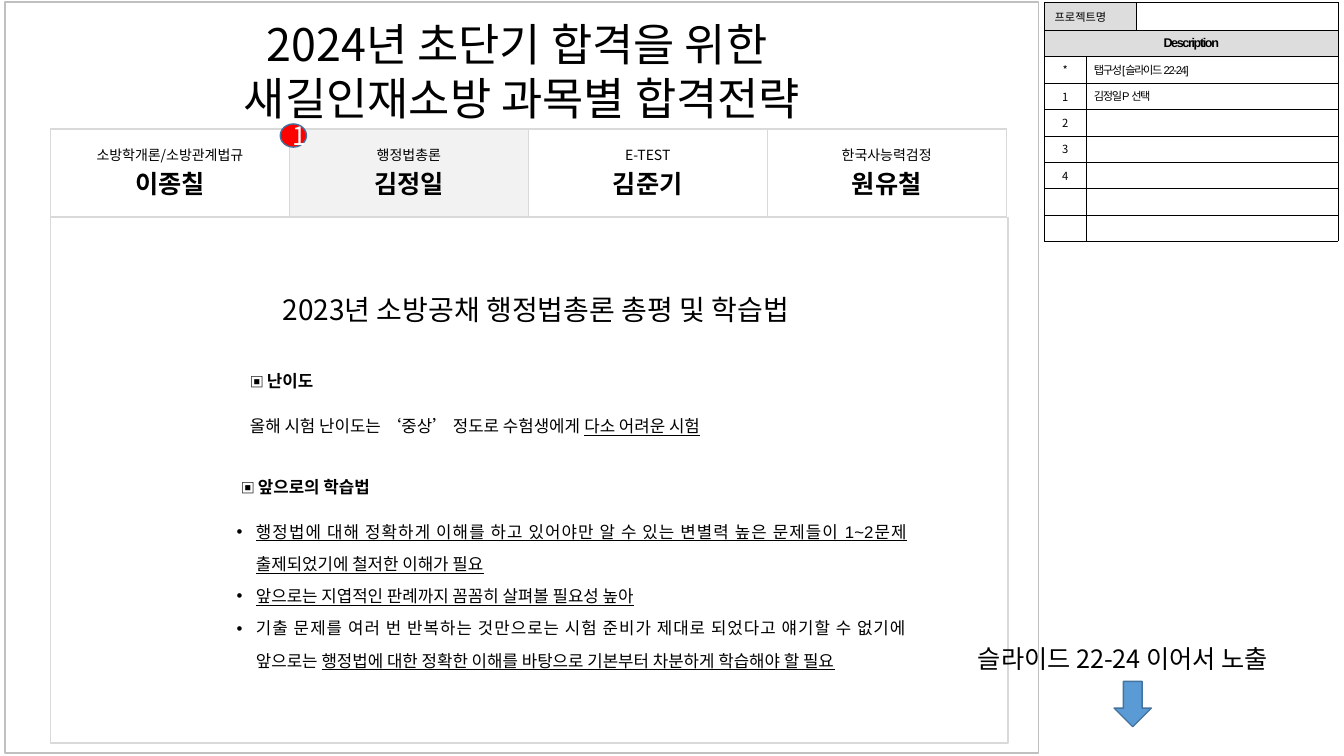
from pptx import Presentation
from pptx.dml.color import RGBColor
from pptx.enum.shapes import MSO_SHAPE as Preset
from pptx.enum.text import MSO_ANCHOR as Anchor, PP_ALIGN as Align
from pptx.oxml.ns import qn
from pptx.util import Emu, Pt
from lxml.etree import SubElement

EMU_PER_PX = 9144
SANS, ARIAL = "Noto Sans CJK KR", "Arial"
COLORS = {
    "black": "000000", "white": "FFFFFF", "frame": "C0C0C0", "rule": "D9D9D9",
    "header": "DDDDDD", "active": "F2F2F2", "red": "FF0000",
    "blue": "5B9BD5", "outline": "43739E",
}


def px(value):
    return Emu(value * EMU_PER_PX)


def color(name):
    return RGBColor.from_string(COLORS[name])


def run(text, size=12, font=SANS, bold=False, underline=False, ink="black", spacing=0):
    return dict(text=text, size=size, font=font, bold=bold,
                underline=underline, ink=ink, spacing=spacing)


def para(*runs, align=Align.LEFT, **layout):
    return dict(runs=runs, align=align, **layout)


class SlideBuilder:
    def __init__(self, width, height):
        self.presentation = Presentation()
        self.presentation.slide_width = px(width)
        self.presentation.slide_height = px(height)
        self.slide = self.presentation.slides.add_slide(self.presentation.slide_layouts[6])

    def fill_text(self, frame, paragraphs):
        for index, content in enumerate(paragraphs):
            paragraph = frame.add_paragraph() if index else frame.paragraphs[0]
            paragraph.alignment = content["align"]
            if "line_spacing" in content:
                paragraph.line_spacing = content["line_spacing"]
            paragraph.space_before = Pt(content.get("before", 0))
            self.indent(paragraph, content.get("left", 0), content.get("bullet"))
            for item in content["runs"]:
                self.add_run(paragraph, item)

    def indent(self, paragraph, left, bullet):
        properties = paragraph._p.get_or_add_pPr()
        properties.set("marL", str(px(left)))
        properties.set("indent", str(px(-left) if bullet else 0))
        if bullet:
            SubElement(properties, qn("a:buFont"), typeface=ARIAL)
            SubElement(properties, qn("a:buChar"), char=bullet)

    def add_run(self, paragraph, item):
        text_run = paragraph.add_run()
        text_run.text = item["text"]
        font = text_run.font
        font.size, font.name = Pt(item["size"]), item["font"]
        font.bold, font.underline = item["bold"], item["underline"]
        font.color.rgb = color(item["ink"])
        properties = text_run._r.get_or_add_rPr()
        SubElement(properties, qn("a:ea"), typeface=SANS)
        if item["spacing"]:
            properties.set("spc", str(item["spacing"] * 100))

    def text(self, box, *paragraphs):
        frame = self.slide.shapes.add_textbox(*map(px, box)).text_frame
        frame.word_wrap = True
        self.fill_text(frame, paragraphs)

    def shape(self, preset, box, line, fill=None, *paragraphs):
        shape = self.slide.shapes.add_shape(preset, *map(px, box))
        shape.shadow.inherit = False
        shape.line.color.rgb, shape.line.width = color(line), Pt(1)
        if fill:
            shape.fill.solid()
            shape.fill.fore_color.rgb = color(fill)
        else:
            shape.fill.background()
        shape.text_frame.vertical_anchor = Anchor.MIDDLE
        self.fill_text(shape.text_frame, paragraphs)

    def table(self, left, top, columns, rows):
        box = map(px, (left, top, sum(columns), sum(rows)))
        table = self.slide.shapes.add_table(len(rows), len(columns), *box).table
        table.first_row = table.horz_banding = False
        for column, width in zip(table.columns, columns):
            column.width = px(width)
        for row, height in zip(table.rows, rows):
            row.height = px(height)
        return table

    def cell(self, cell, paragraphs=(), fill="white", border="black", weight=0.25,
             side=10, anchor=Anchor.MIDDLE):
        cell.fill.solid()
        cell.fill.fore_color.rgb = color(fill)
        cell.vertical_anchor = anchor
        cell.margin_left = cell.margin_right = px(side)
        self.fill_text(cell.text_frame, paragraphs)
        if not paragraphs:
            SubElement(cell.text_frame.paragraphs[0]._p, qn("a:endParaRPr"), sz="800")
        properties = cell._tc.get_or_add_tcPr()
        for index, edge in enumerate(("lnL", "lnR", "lnT", "lnB")):
            line = SubElement(properties, qn("a:" + edge), w=str(Pt(weight)))
            solid = SubElement(line, qn("a:solidFill"))
            SubElement(solid, qn("a:srgbClr"), val=COLORS[border])
            properties.insert(index, line)


def add_description(builder):
    notes = [("*", "탭구성[슬라이드 22-24]"), ("1", "김정일P 선택"),
             ("2", ""), ("3", ""), ("4", ""), ("", ""), ("", "")]
    table = builder.table(1036, 2, (41, 50, 200), [28] + [26] * (len(notes) + 1))
    table.cell(0, 0).merge(table.cell(0, 1))
    table.cell(1, 0).merge(table.cell(1, 2))
    for row in range(2, len(notes) + 2):
        table.cell(row, 1).merge(table.cell(row, 2))

    heading = run("Description", 9, ARIAL, bold=True, spacing=-1)
    contents = {
        (0, 0): dict(paragraphs=[para(run("프로젝트명", 8))], fill="header"),
        (1, 0): dict(paragraphs=[para(heading, align=Align.CENTER)], fill="header"),
    }
    for row, (mark, note) in enumerate(notes, 2):
        if mark:
            contents[row, 0] = dict(
                paragraphs=[para(run(mark, 8), align=Align.CENTER)], side=4)
        if note:
            contents[row, 1] = dict(
                paragraphs=[para(run(note, 8, ARIAL, spacing=-1))], side=8, anchor=Anchor.TOP)
    for row in range(len(table.rows)):
        for column in range(len(table.columns)):
            builder.cell(table.cell(row, column), **contents.get((row, column), {}))


def add_tabs(builder):
    tabs = [("소방학개론/소방관계법규", "이종칠"), ("행정법총론", "김정일"),
            ("E-TEST", "김준기"), ("한국사능력검정", "원유철")]
    table = builder.table(50, 128, [237] * len(tabs), [87])
    for index, (subject, teacher) in enumerate(tabs):
        lines = [para(run(subject, 10), align=Align.CENTER),
                 para(run(teacher, 18, bold=True), align=Align.CENTER)]
        builder.cell(table.cell(0, index), lines, "active" if index == 1 else "white",
                     "rule", 1)


def add_review(builder):
    body = dict(align=Align.JUSTIFY, line_spacing=1.6)
    bulleted = dict(body, left=19, bullet="•")

    def heading(text, left=0):
        return para(run("▣ ", 10, ARIAL, bold=True), run(text, font=ARIAL, bold=True),
                    left=left, **body)

    def plain(text):
        return run(text, font=ARIAL)

    def marked(text):
        return run(text, font=ARIAL, underline=True)

    builder.text(
        (225, 456, 684, 245),
        heading("앞으로의 학습법", left=4),
        para(marked("행정법에 대해 정확하게 이해를 하고 있어야만 알 수 있는 변별력 높은 문제들이 "
                    "1~2문제 출제되었기에 철저한 이해가 필요"), before=9, **bulleted),
        para(marked("앞으로는 지엽적인 판례까지 꼼꼼히 살펴볼 필요성 높아"), **bulleted),
        para(plain("기출 문제를 여러 번 반복하는 것만으로는 시험 준비가 제대로 되었다고 "
                   "얘기할 수 없기에 앞으로는 "),
             marked("행정법에 대한 정확한 이해를 바탕으로 기본부터 차분하게 학습해야 할 필요"),
             **bulleted))
    builder.text(
        (238, 351, 711, 84),
        heading("난이도"),
        para(plain("올해 시험 난이도는 ‘중상’ 정도로 수험생에게 "),
             marked("다소 어려운 시험"), before=9, **body))


def main():
    builder = SlideBuilder(1333, 750)
    builder.shape(Preset.RECTANGLE, (5, 2, 1025, 745), "frame")
    add_description(builder)
    add_tabs(builder)
    builder.shape(Preset.RECTANGLE, (50, 216, 950, 521), "rule")
    builder.shape(Preset.OVAL, (278, 123, 26, 23), "outline", "red",
                  para(run("1", 18, ink="white"), align=Align.CENTER))
    builder.text((139, 12, 758, 118),
                 para(run("2024년 초단기 합격을 위한 ", 32), align=Align.CENTER),
                 para(run("새길인재소방 과목별 합격전략", 32), align=Align.CENTER))
    builder.text((166, 285, 731, 44),
                 para(run("2023년 소방공채 행정법총론 총평 및 학습법", 20), align=Align.CENTER))
    add_review(builder)
    builder.shape(Preset.DOWN_ARROW, (1105, 676, 37, 45), "outline", "blue")
    builder.text((960, 633, 350, 40), para(run("슬라이드 22-24 이어서 노출", 18)))
    builder.presentation.save("out.pptx")


if __name__ == "__main__":
    main()
